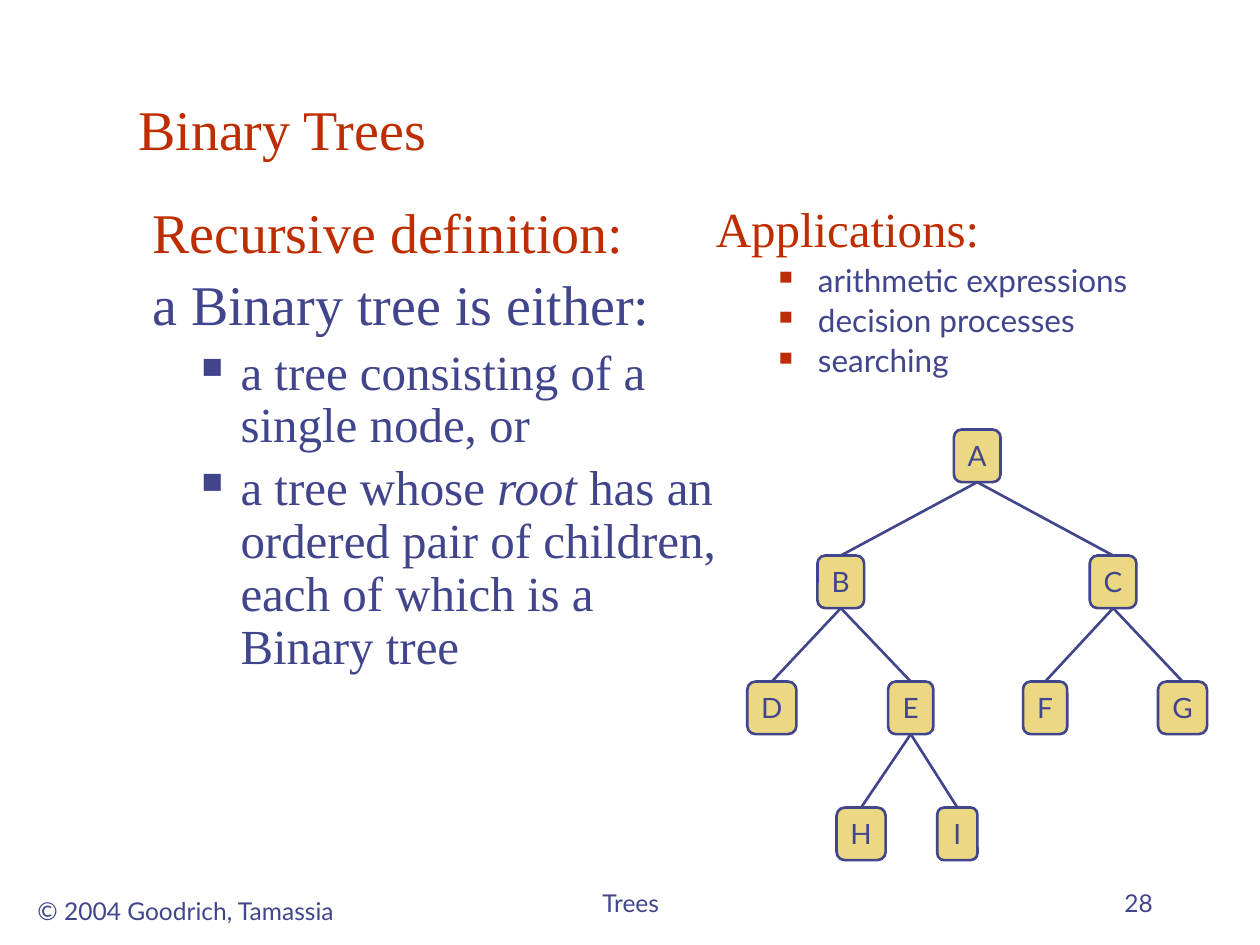
from dataclasses import dataclass
from typing import NamedTuple

from lxml.etree import SubElement
from pptx import Presentation
from pptx.dml.color import RGBColor
from pptx.enum.shapes import MSO_CONNECTOR, MSO_SHAPE
from pptx.enum.text import MSO_ANCHOR, PP_ALIGN
from pptx.oxml.ns import qn
from pptx.util import Cm, Pt


@dataclass(frozen=True)
class Theme:
    ink: RGBColor = RGBColor(0x40, 0x45, 0x8C)
    accent: RGBColor = RGBColor(0xBE, 0x2D, 0x00)
    node: RGBColor = RGBColor(0xEC, 0xD8, 0x82)
    serif: str = "Times New Roman"
    sans: str = "Lato"
    heading: int = 32
    body: int = 28
    item: int = 18
    label: int = 16
    footer: int = 14
    line: float = 1.5


class Box(NamedTuple):
    """A rectangle in centimetres."""
    left: float
    top: float
    width: float
    height: float


THEME = Theme()

# Name: (parent, level, centre, width), lengths in centimetres
NODES = {
    "A": (None, 0, 4.64, 0.94),
    "B": ("A", 1, 1.89, 0.94),
    "C": ("A", 1, 7.38, 0.94),
    "D": ("B", 2, 0.5, 0.99),
    "E": ("B", 2, 3.3, 0.91),
    "F": ("C", 2, 6.01, 0.89),
    "G": ("C", 2, 8.78, 0.99),
    "H": ("E", 3, 2.3, 0.99),
    "I": ("E", 3, 4.24, 0.81),
}


def add_frame(page, box, anchor=MSO_ANCHOR.TOP, wrap=True):
    frame = page.shapes.add_textbox(*map(Cm, box)).text_frame
    frame.word_wrap = wrap
    frame.vertical_anchor = anchor
    return frame


def style(para, size, color, face, align=PP_ALIGN.LEFT):
    para.alignment = align
    para.font.size = Pt(size)
    para.font.color.rgb = color
    para.font.name = face


def add_para(frame, pieces, size, color, face, indent=0.0, bullet=None):
    """Append a paragraph; every second piece of its text is italic."""
    first = not frame.paragraphs[0].runs
    para = frame.paragraphs[0] if first else frame.add_paragraph()
    for index, piece in enumerate(pieces):
        span = para.add_run()
        span.text = piece
        if index % 2:
            span.font.italic = True
    para.line_spacing = 0.9
    para.space_before = Pt(0 if first else size * 0.2)
    properties = para._p.get_or_add_pPr()
    properties.set("marL", str(Cm(indent)))
    properties.set("indent", str(Cm(-0.79 if bullet else 0)))
    if bullet:
        bullet_color = SubElement(properties, qn("a:buClr"))
        SubElement(bullet_color, qn("a:srgbClr"), val=str(bullet))
        SubElement(properties, qn("a:buSzPct"), val="60000")
        SubElement(properties, qn("a:buChar"), char="■")
    style(para, size, color, face)


def add_title(page, box):
    frame = add_frame(page, box, MSO_ANCHOR.BOTTOM)
    frame.text = "Binary Trees"
    style(frame.paragraphs[0], THEME.heading, THEME.accent, THEME.serif)


def add_definition(page, box):
    frame = add_frame(page, box)
    for text, color in (("Recursive definition:", THEME.accent),
                        ("a Binary tree is either:", THEME.ink)):
        add_para(frame, [text], THEME.heading, color, THEME.serif, 0.28)
    for pieces in (
        ["a tree consisting of a single node, or"],
        ["a tree whose ", "root",
         " has an ordered pair of children, each of which is a Binary tree"],
    ):
        add_para(frame, pieces, THEME.body, THEME.ink, THEME.serif, 2.06, THEME.ink)


def add_applications(page, box):
    frame = add_frame(page, box)
    add_para(frame, ["Applications:"], THEME.body, THEME.accent, THEME.serif)
    for text in ("arithmetic expressions", "decision processes", "searching"):
        add_para(frame, [text], THEME.item, THEME.ink, THEME.sans, 2.06, THEME.accent)


def add_node(page, name, box):
    node = page.shapes.add_shape(MSO_SHAPE.ROUNDED_RECTANGLE, *map(Cm, box))
    node.shadow.inherit = False
    node.fill.solid()
    node.fill.fore_color.rgb = THEME.node
    node.line.color.rgb = THEME.ink
    node.line.width = Pt(THEME.line)
    frame = node.text_frame
    frame.word_wrap = False
    frame.vertical_anchor = MSO_ANCHOR.MIDDLE
    frame.text = name
    style(frame.paragraphs[0], THEME.label, THEME.ink, THEME.sans, PP_ALIGN.CENTER)
    return node


def add_edge(page, parent, child):
    """Join the bottom of the parent to the top of the child."""
    edge = page.shapes.add_connector(MSO_CONNECTOR.STRAIGHT, 0, 0, 0, 0)
    edge.begin_connect(parent, 2)
    edge.end_connect(child, 0)
    edge.line.color.rgb = THEME.ink
    edge.line.width = Pt(THEME.line)
    SubElement(edge._element.spPr, qn("a:effectLst"))


def add_tree(page, box):
    node_height = 1.06
    pitch = (box.height - node_height) / max(level for _, level, _, _ in NODES.values())
    nodes = {}
    for name, (parent, level, centre, width) in NODES.items():
        node_box = Box(box.left + centre - width / 2, box.top + level * pitch,
                       width, node_height)
        nodes[name] = add_node(page, name, node_box)
        if parent:
            add_edge(page, nodes[parent], nodes[name])


def add_footer(page, box):
    parts = (
        ("© 2004 Goodrich, Tamassia", Box(0, 0.58, 6.63, 0.84),
         PP_ALIGN.CENTER, MSO_ANCHOR.TOP, False),
        ("Trees", Box(8.26, 0, 8.05, 1.27), PP_ALIGN.CENTER, MSO_ANCHOR.BOTTOM, True),
        ("28", Box(17.78, 0, 5.28, 1.27), PP_ALIGN.RIGHT, MSO_ANCHOR.BOTTOM, True),
    )
    for text, part, align, anchor, wrap in parts:
        place = part._replace(left=box.left + part.left, top=box.top + part.top)
        frame = add_frame(page, place, anchor, wrap)
        frame.text = text
        style(frame.paragraphs[0], THEME.footer, THEME.ink, THEME.sans, align)


def main():
    deck = Presentation()
    deck.slide_width, deck.slide_height = Cm(25.4), Cm(19.05)
    page = deck.slides.add_slide(deck.slide_layouts[6])
    add_footer(page, Box(0.43, 17.35, 23.06, 1.42))
    add_title(page, Box(2.54, 1.47, 20.75, 1.91))
    add_definition(page, Box(2.54, 4.02, 12.2, 10.77))
    add_applications(page, Box(14.18, 4.02, 9.1, 4.24))
    add_tree(page, Box(15.06, 8.66, 9.27, 8.68))
    deck.save("out.pptx")


if __name__ == "__main__":
    main()
